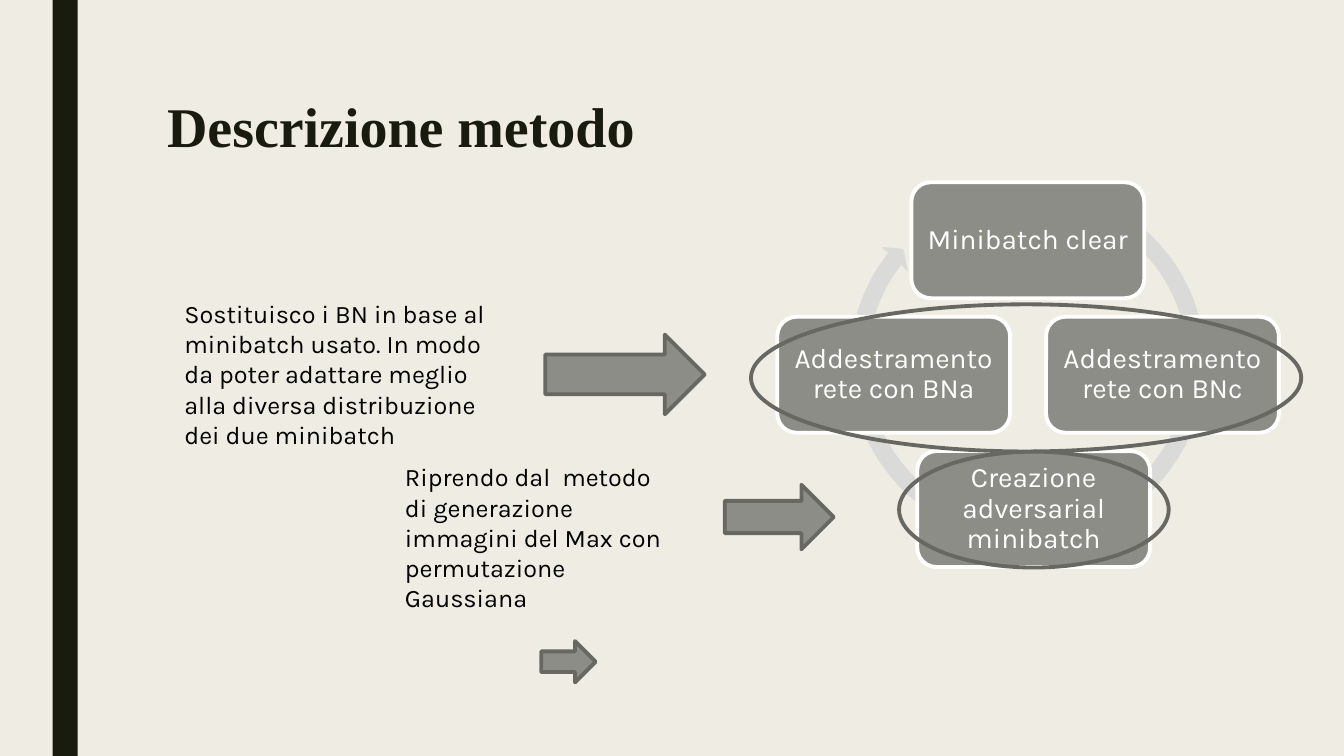
import pptx
import pptx.util
import pptx.dml.color
import pptx.enum.shapes
import pptx.enum.text

Pt = pptx.util.Pt
RGBColor = pptx.dml.color.RGBColor
SHAPE = pptx.enum.shapes.MSO_SHAPE
ALIGN = pptx.enum.text.PP_ALIGN
ANCHOR = pptx.enum.text.MSO_ANCHOR

CREAM = RGBColor(0xEF, 0xED, 0xE3)
DARK = RGBColor(0x19, 0x1B, 0x0E)
GREY = RGBColor(0x8C, 0x8D, 0x86)
OUTLINE = RGBColor(0x68, 0x68, 0x63)
PALE = RGBColor(0xDA, 0xDB, 0xD9)
WHITE = RGBColor(0xFF, 0xFF, 0xFF)
BLACK = RGBColor(0x00, 0x00, 0x00)


def add_figure(preset, left, top, width, height, fill=None, line=None):
    figure = slide.shapes.add_shape(preset, Pt(left), Pt(top), Pt(width), Pt(height))
    figure.shadow.inherit = False
    if fill is None:
        figure.fill.background()
    else:
        figure.fill.solid()
        figure.fill.fore_color.rgb = fill
    if line is None:
        figure.line.fill.background()
    else:
        figure.line.color.rgb = line
        figure.line.width = Pt(2.75)
    return figure


def write(frame, text, font_name, size, color):
    frame.word_wrap = True
    paragraph = frame.paragraphs[0]
    paragraph.text = text
    paragraph.font.name = font_name
    paragraph.font.size = Pt(size)
    paragraph.font.color.rgb = color
    return paragraph


deck = pptx.Presentation()
deck.slide_width, deck.slide_height = Pt(960), Pt(540)
slide = deck.slides.add_slide(deck.slide_layouts[6])
slide.background.fill.solid()
slide.background.fill.fore_color.rgb = CREAM

# Side band and title
add_figure(SHAPE.RECTANGLE, 37.5, 0, 18, 540, DARK)
title = slide.shapes.add_textbox(Pt(112.3), Pt(67.5), Pt(756), Pt(116.6))
heading = write(title.text_frame, "Descrizione metodo", "Times New Roman", 40, DARK)
heading.font.bold = True
heading.line_spacing = 0.89

# Training cycle: ring behind four steps
ring = add_figure(SHAPE.CIRCULAR_ARROW, 600.5, 126, 267.1, 267.1, PALE)
for index, value in enumerate((0.047, 2.729, 130.862, 178.596, 0.048)):
    ring.adjustments[index] = value

for left, top, label in (
    (651, 130.2, "Minibatch clear"),
    (747.2, 226.3, "Addestramento rete con BNc"),
    (655.2, 322.2, "Creazione adversarial minibatch"),
    (555.2, 226.3, "Addestramento rete con BNa"),
):
    step = add_figure(SHAPE.ROUNDED_RECTANGLE, left, top, 166.3, 82.8, GREY, WHITE)
    frame = step.text_frame
    # The rounded corners already inset the text by about 4 points
    frame.margin_left = frame.margin_right = Pt(5)
    frame.margin_top = frame.margin_bottom = Pt(5)
    frame.vertical_anchor = ANCHOR.MIDDLE
    caption = write(frame, label, "Karla", 20, WHITE)
    caption.alignment = ALIGN.CENTER
    caption.line_spacing = 0.9

# Ovals around the highlighted steps
for left, top, width, height in ((642.2, 322.6, 192.6, 82.8), (536.4, 217.4, 393.1, 105.1)):
    add_figure(SHAPE.OVAL, left, top, width, height, line=OUTLINE)

# Arrows from the notes to the cycle
for left, top, width, height in (
    (517.7, 346.3, 77.8, 46.1),
    (389.5, 239, 113.8, 56.9),
    (386.6, 457.9, 38.9, 29.5),
):
    add_figure(SHAPE.RIGHT_ARROW, left, top, width, height, GREY, OUTLINE)

# Notes
for left, top, width, height, text in (
    (282.2, 326.2, 207.4, 94.3,
     "Riprendo dal  metodo di generazione immagini del Max con permutazione Gaussiana"),
    (124.6, 209.5, 250.6, 116.6,
     "Sostituisco i BN in base al minibatch usato. In modo da poter adattare meglio "
     "alla diversa distribuzione dei due minibatch"),
):
    note = slide.shapes.add_textbox(Pt(left), Pt(top), Pt(width), Pt(height))
    write(note.text_frame, text, "Karla", 18, BLACK)

deck.save("out.pptx")
